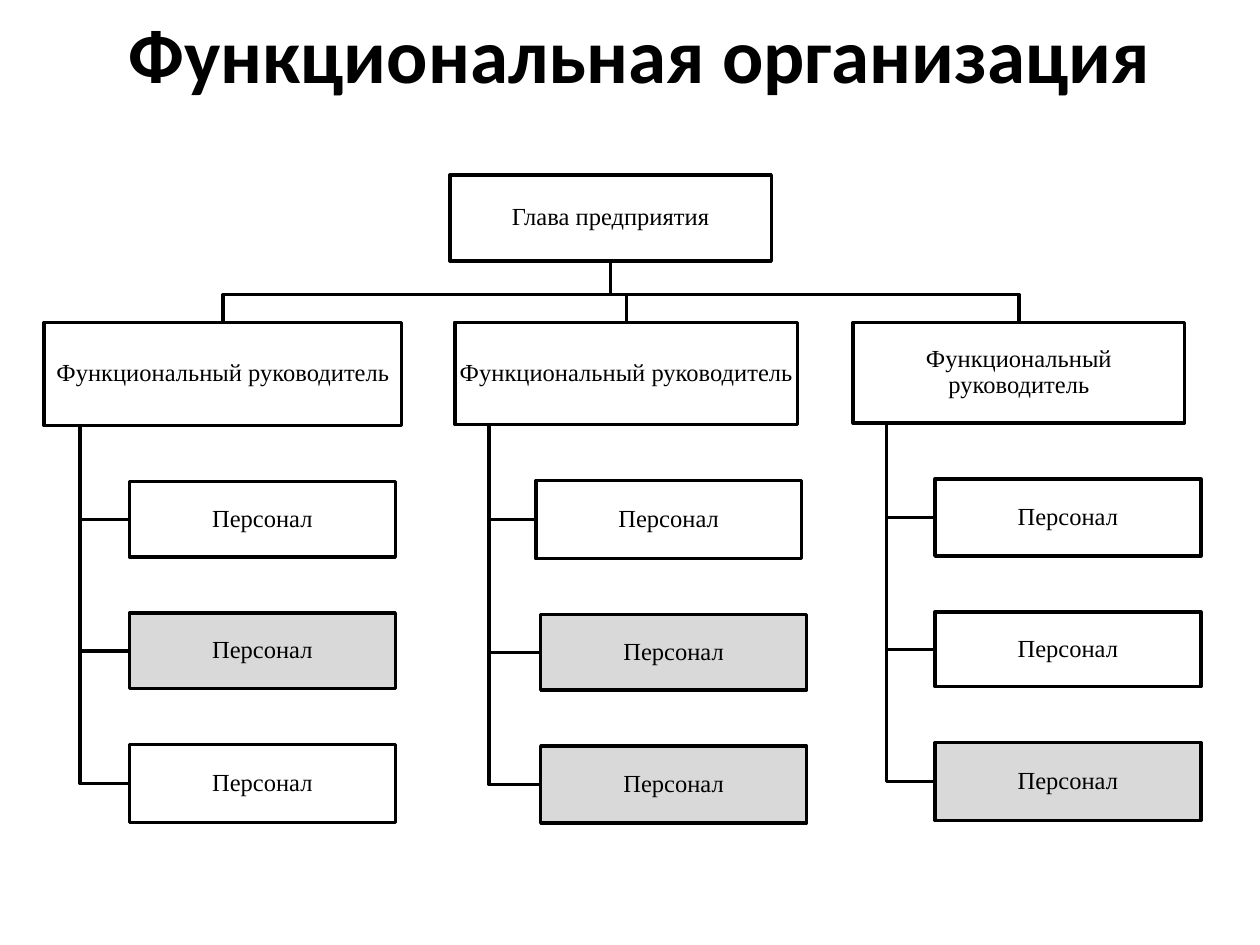
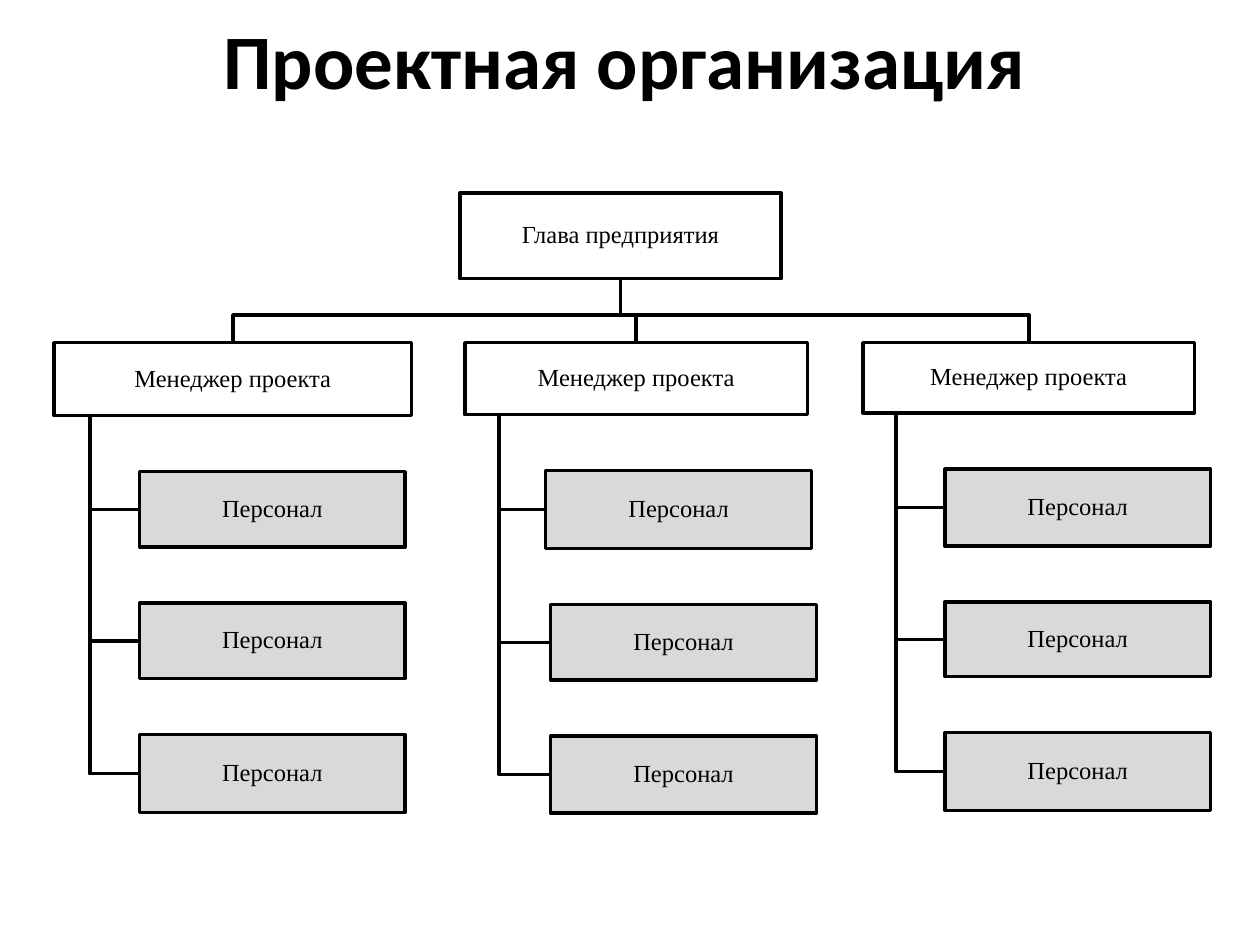
from dataclasses import dataclass
from typing import Optional

from pptx import Presentation
from pptx.dml.color import RGBColor
from pptx.enum.shapes import MSO_SHAPE as Preset
from pptx.enum.text import MSO_ANCHOR as Anchor, MSO_AUTO_SIZE as AutoSize, PP_ALIGN as Align
from pptx.util import Cm, Pt

BLACK = "000000"
GREY = "D9D9D9"
TITLE_FONT = "Calibri"
BOX_FONT = "Times New Roman"
LINE_WIDTH = 2
INSET = 0.03

HEAD_LEFT, HEAD_WIDTH, HEAD_HEIGHT = 9.07, 6.48, 1.73
BAR_RISE = 0.56
STAFF_WIDTH = 5.36
STAFF_GAP = 1.13
TRUNK_SHARE = 0.1


@dataclass(frozen=True)
class Branch:
    left: float
    width: float
    height_cut: float
    indents: tuple[float, ...]
    staff_heights: tuple[float, ...]


@dataclass(frozen=True)
class Chart:
    title: str
    title_left: float
    title_top: float
    title_width: float
    manager: str
    shift: float
    head_top: float
    manager_top: float
    manager_height: float
    shaded: tuple[tuple[bool, ...], ...]


BRANCHES = (
    Branch(0.89, 7.21, 0, (1.0, 1.0, 1.0), (1.52, 1.52, 1.57)),
    Branch(9.17, 6.91, 0.02, (0.94, 1.04, 1.04), (1.57, 1.52, 1.55)),
    Branch(17.2, 6.68, 0.05, (0.98, 0.98, 0.98), (1.55, 1.5, 1.57)),
)

CHARTS = (
    Chart("Функциональная организация", 1.5, 0, 22.81,
          "Функциональный руководитель", 0, 3.53, 6.5, 2.08,
          ((False, True, False), (False, True, True), (False, False, True))),
    Chart("Проектная организация", 1.7, 0.13, 21.79,
          "Менеджер проекта", 0.2, 3.89, 6.91, 1.47,
          ((True,) * 3,) * 3),
)


def colour(value: str) -> RGBColor:
    return RGBColor.from_string(value)


def add_span(para, text: str, font: str, size: float, bold: bool = False) -> None:
    span = para.add_run()
    span.text = text
    span.font.name = font
    span.font.size = Pt(size)
    span.font.bold = bold
    span.font.color.rgb = colour(BLACK)


def style_line(shape) -> None:
    shape.shadow.inherit = False
    shape.line.color.rgb = colour(BLACK)
    shape.line.width = Pt(LINE_WIDTH)


def add_title(page, chart: Chart) -> None:
    box = page.shapes.add_textbox(Cm(chart.title_left), Cm(chart.title_top),
                                  Cm(chart.title_width), Cm(2.13))
    frame = box.text_frame
    frame.word_wrap = True
    frame.auto_size = AutoSize.SHAPE_TO_FIT_TEXT
    para = frame.paragraphs[0]
    para.alignment = Align.CENTER
    add_span(para, chart.title, TITLE_FONT, 44, bold=True)


def add_box(page, left: float, top: float, width: float, height: float,
            text: str, fill: Optional[str] = None) -> None:
    box = page.shapes.add_shape(Preset.RECTANGLE, Cm(left), Cm(top), Cm(width), Cm(height))
    style_line(box)
    if fill:
        box.fill.solid()
        box.fill.fore_color.rgb = colour(fill)
    else:
        box.fill.background()
    frame = box.text_frame
    frame.word_wrap = True
    frame.vertical_anchor = Anchor.MIDDLE
    frame.margin_left = frame.margin_right = Cm(INSET)
    frame.margin_top = frame.margin_bottom = Cm(INSET)
    para = frame.paragraphs[0]
    para.alignment = Align.CENTER
    para.line_spacing = 0.9
    para.space_after = Pt(4.9)
    add_span(para, text, BOX_FONT, 14)


def add_link(page, *points: tuple[float, float]) -> None:
    corners = [(Cm(x), Cm(y)) for x, y in points]
    builder = page.shapes.build_freeform(*corners[0])
    builder.add_line_segments(corners[1:], close=False)
    link = builder.convert_to_shape()
    link.fill.background()
    style_line(link)


def add_branch(page, chart: Chart, branch: Branch, shaded: tuple[bool, ...]) -> None:
    left = branch.left + chart.shift
    height = chart.manager_height - branch.height_cut
    bottom = chart.manager_top + height
    trunk = left + branch.width * TRUNK_SHARE
    head_middle = HEAD_LEFT + chart.shift + HEAD_WIDTH / 2
    middle = left + branch.width / 2
    bar = chart.manager_top - BAR_RISE

    add_link(page, (head_middle, chart.head_top + HEAD_HEIGHT), (head_middle, bar),
             (middle, bar), (middle, chart.manager_top))
    add_box(page, left, chart.manager_top, branch.width, height, chart.manager)

    top = bottom + STAFF_GAP
    for indent, staff_height, is_shaded in zip(branch.indents, branch.staff_heights, shaded):
        staff_left = trunk + indent
        level = top + staff_height / 2
        add_link(page, (trunk, bottom), (trunk, level), (staff_left, level))
        add_box(page, staff_left, top, STAFF_WIDTH, staff_height, "Персонал",
                GREY if is_shaded else None)
        top += staff_height + STAFF_GAP


def add_page(deck, chart: Chart) -> None:
    page = deck.slides.add_slide(deck.slide_layouts[6])
    add_title(page, chart)
    for branch, shaded in zip(BRANCHES, chart.shaded):
        add_branch(page, chart, branch, shaded)
    add_box(page, HEAD_LEFT + chart.shift, chart.head_top, HEAD_WIDTH, HEAD_HEIGHT,
            "Глава предприятия")


deck = Presentation()
deck.slide_width, deck.slide_height = Cm(25.4), Cm(19.05)
for chart in CHARTS:
    add_page(deck, chart)
deck.save("out.pptx")
